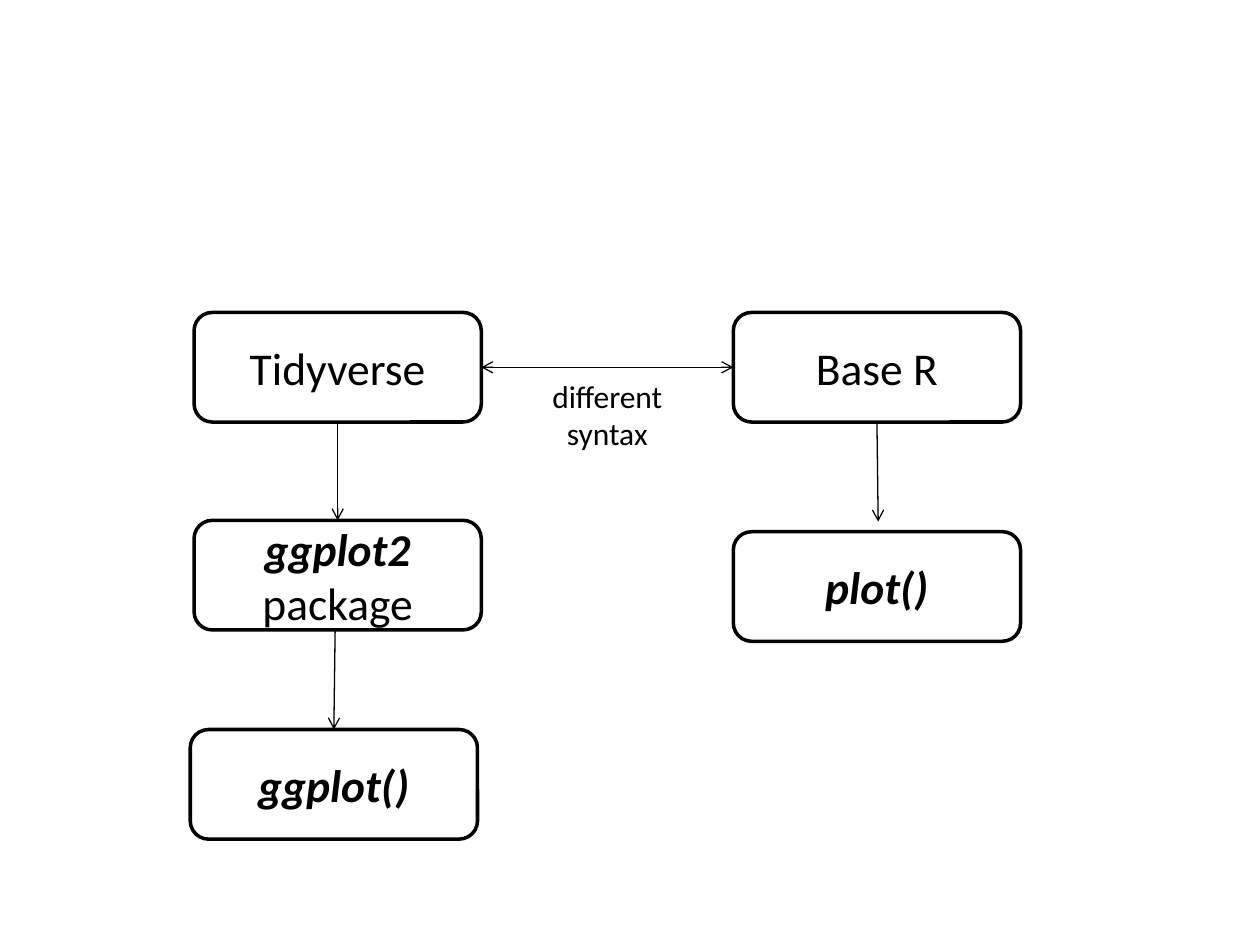
from lxml import etree
from pptx import Presentation
from pptx import util as u
from pptx.dml.color import RGBColor
from pptx.enum import shapes, text
from pptx.oxml import ns

BLACK = RGBColor(0, 0, 0)
WHITE = RGBColor(255, 255, 255)
TOP, LEFT, BOTTOM, RIGHT = range(4)


class Diagram:
    """Draws boxes, labels and arrows in one style on a slide."""

    font = "Calibri"
    box_w, box_h = 2.28, 0.87

    def __init__(self, slide):
        self.s = slide

    def format(self, tf, size):
        tf.word_wrap = True
        for p in tf.paragraphs:
            p.alignment = text.PP_ALIGN.CENTER
            for r in p.runs:
                r.font.name = self.font
                r.font.size = u.Pt(size)
                r.font.color.rgb = BLACK

    def box(self, x, y, code="", plain=""):
        sp = self.s.shapes.add_shape(
            shapes.MSO_SHAPE.ROUNDED_RECTANGLE,
            u.Inches(x), u.Inches(y), u.Inches(self.box_w), u.Inches(self.box_h))
        sp.shadow.inherit = False
        sp.fill.solid()
        sp.fill.fore_color.rgb = WHITE
        sp.line.color.rgb = BLACK
        sp.line.width = u.Pt(2)
        tf = sp.text_frame
        tf.vertical_anchor = text.MSO_ANCHOR.MIDDLE
        for words, strong in ((code, True), (plain, False)):
            if words:
                r = tf.paragraphs[0].add_run()
                r.text = words
                r.font.bold = r.font.italic = strong
        self.format(tf, 26)
        return sp

    def label(self, x, y, w, h, words):
        sp = self.s.shapes.add_textbox(u.Inches(x), u.Inches(y), u.Inches(w), u.Inches(h))
        sp.text_frame.text = words
        self.format(sp.text_frame, 18)
        sp.text_frame.auto_size = text.MSO_AUTO_SIZE.SHAPE_TO_FIT_TEXT

    def arrow(self, x1, y1, x2, y2, ends=("tailEnd",)):
        c = self.s.shapes.add_connector(
            shapes.MSO_CONNECTOR.STRAIGHT,
            u.Inches(x1), u.Inches(y1), u.Inches(x2), u.Inches(y2))
        c.line.color.rgb = BLACK
        c.line.width = u.Pt(0.75)
        ln = c.line._get_or_add_ln()
        for end in ends:
            etree.SubElement(ln, ns.qn("a:" + end), type="arrow")
        etree.SubElement(c._element.spPr, ns.qn("a:effectLst"))
        return c


def main():
    prs = Presentation()
    prs.slide_width, prs.slide_height = u.Inches(10), u.Inches(7.5)
    d = Diagram(prs.slides.add_slide(prs.slide_layouts[6]))

    tidyverse = d.box(1.54, 2.48, plain="Tidyverse")
    base_r = d.box(5.82, 2.48, plain="Base R")
    package = d.box(1.54, 4.13, "ggplot2 ", "package")
    d.box(5.82, 4.22, "plot()")
    ggplot = d.box(1.51, 5.79, "ggplot()")

    syntax = d.arrow(3.82, 2.91, 5.82, 2.91, ("headEnd", "tailEnd"))
    syntax.begin_connect(tidyverse, RIGHT)
    syntax.end_connect(base_r, LEFT)
    d.label(4.19, 2.94, 1.26, 0.71, "different\nsyntax")

    to_package = d.arrow(2.68, 3.35, 2.68, 4.13)
    to_package.begin_connect(tidyverse, BOTTOM)
    to_package.end_connect(package, TOP)
    d.arrow(6.97, 3.35, 6.97, 4.14).begin_connect(base_r, BOTTOM)
    d.arrow(2.66, 5, 2.66, 5.79).end_connect(ggplot, TOP)

    prs.save("out.pptx")


if __name__ == "__main__":
    main()
